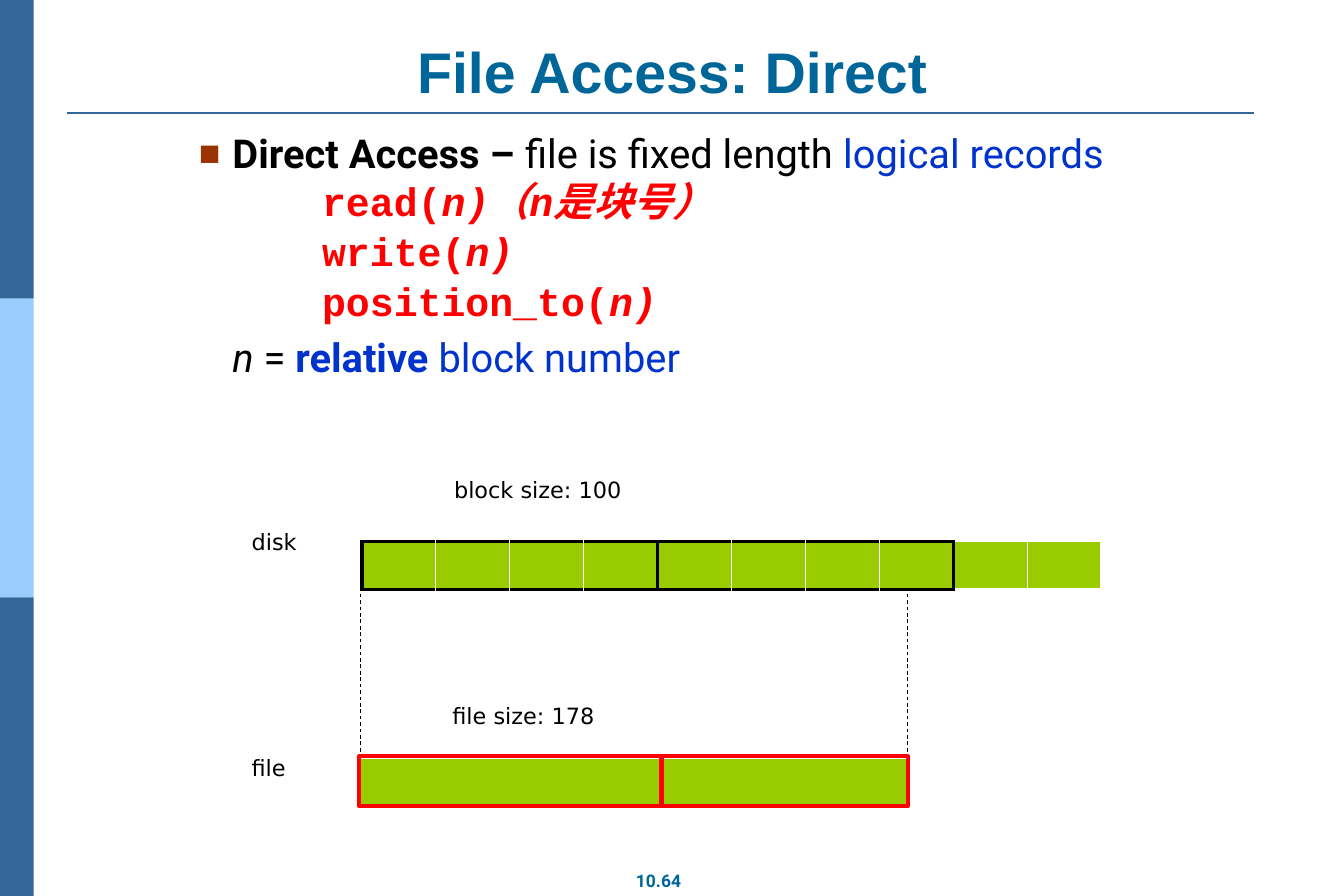
from dataclasses import dataclass

import pptx
import pptx.dml.color
import pptx.enum.dml
import pptx.enum.shapes
import pptx.enum.text
import pptx.oxml
import pptx.oxml.ns
import pptx.util
from pptx.util import Pt

TITLE_BLUE, BAR_BLUE, LIGHT_BLUE, LINK_BLUE = "006699", "336699", "99CCFF", "0033CC"
BLACK, WHITE, RED, BROWN, GREEN = "000000", "FFFFFF", "FF0000", "993300", "99CC00"
BODY_SIZE, HANG = 32, 27
TABLE_ROW = 38.88


@dataclass
class Span:
    text: str
    color: str = BLACK
    font: str = "Roboto"
    bold: bool = False
    italic: bool = False


@dataclass
class Line:
    spans: list[Span]
    margin: float
    before: float
    bullet: bool = False


@dataclass
class Label:
    text: str
    left: float
    top: float
    width: float


@dataclass
class Edge:
    color: str = WHITE
    width: float = 1


@dataclass
class Borders:
    left: Edge
    right: Edge
    top: Edge
    bottom: Edge


def rgb(color: str) -> pptx.dml.color.RGBColor:
    return pptx.dml.color.RGBColor.from_string(color)


def style_font(font, name: str, size: float, color: str, bold=False, italic=False) -> None:
    font.name, font.size, font.bold, font.italic = name, Pt(size), bold, italic
    font.color.rgb = rgb(color)


def xml(tag: str, body: str = "", attributes: str = ""):
    return pptx.oxml.parse_xml(
        f'<a:{tag} {pptx.oxml.ns.nsdecls("a")} {attributes}>{body}</a:{tag}>')


def set_insets(frame, side: float, end: float) -> None:
    frame.margin_left = frame.margin_right = Pt(side)
    frame.margin_top = frame.margin_bottom = Pt(end)


def place(shape, left: float, top: float, width: float, height: float) -> None:
    shape.left, shape.top, shape.width, shape.height = map(Pt, (left, top, width, height))


def add_box(slide, left: float, top: float, width: float, height: float,
            fill: str = "", line: str = "") -> None:
    box = slide.shapes.add_shape(pptx.enum.shapes.MSO_SHAPE.RECTANGLE,
                                 Pt(left), Pt(top), Pt(width), Pt(height))
    box.shadow.inherit = False
    if fill:
        box.fill.solid()
        box.fill.fore_color.rgb = rgb(fill)
    else:
        box.fill.background()
    if line:
        box.line.color.rgb = rgb(line)
        box.line.width = Pt(3)
    else:
        box.line.fill.background()


def add_line(slide, x1: float, y1: float, x2: float, y2: float,
             color: str, width: float, dashed: bool = False) -> None:
    rule = slide.shapes.add_connector(pptx.enum.shapes.MSO_CONNECTOR.STRAIGHT,
                                      Pt(x1), Pt(y1), Pt(x2), Pt(y2))
    rule.line.color.rgb = rgb(color)
    rule.line.width = Pt(width)
    if dashed:
        rule.line.dash_style = pptx.enum.dml.MSO_LINE.DASH
    rule._element.spPr.append(xml("effectLst"))


def add_label(slide, label: Label) -> None:
    frame = slide.shapes.add_textbox(Pt(label.left), Pt(label.top),
                                     Pt(label.width), Pt(28.8)).text_frame
    frame.word_wrap = True
    frame.text = label.text
    style_font(frame.paragraphs[0].runs[0].font, "DejaVu Sans", 18, BLACK)


def add_blocks(slide, left: float, top: float, width: float, cells: list[Borders]) -> None:
    table = slide.shapes.add_table(1, len(cells), Pt(left), Pt(top),
                                   Pt(width), Pt(TABLE_ROW)).table
    table.first_row = table.horz_banding = False
    for column, borders in enumerate(cells):
        table.columns[column].width = Pt(width / len(cells))
        cell = table.cell(0, column)
        cell.fill.solid()
        cell.fill.fore_color.rgb = rgb(GREEN)
        edges = {"lnL": borders.left, "lnR": borders.right,
                 "lnT": borders.top, "lnB": borders.bottom}
        for position, (tag, edge) in enumerate(edges.items()):
            border = xml(tag, f'<a:solidFill><a:srgbClr val="{edge.color}"/></a:solidFill>',
                         f'w="{Pt(edge.width)}"')
            cell._tc.get_or_add_tcPr().insert(position, border)


def write_line(paragraph, line: Line) -> None:
    properties = paragraph._p.get_or_add_pPr()
    properties.set("marL", str(Pt(line.margin)))
    properties.set("indent", str(Pt(-HANG if line.bullet else 0)))
    if line.bullet:
        properties.append(xml("buClr", f'<a:srgbClr val="{BROWN}"/>'))
        properties.append(xml("buSzPct", attributes='val="90000"'))
        properties.append(xml("buChar", attributes='char="■"'))
    else:
        properties.append(xml("buNone"))
    paragraph.line_spacing = 0.9
    paragraph.space_before = Pt(line.before)
    for span in line.spans:
        run = paragraph.add_run()
        run.text = span.text
        style_font(run.font, span.font, BODY_SIZE, span.color, span.bold, span.italic)


def call(name: str, argument: str, before: float = 5.6) -> Line:
    return Line([Span(name, RED, "Courier New", True),
                 Span(argument, RED, "Courier New", True, True)], HANG + 72, before)


def disk_cell(index: int) -> Borders:
    thick, thin = Edge(BLACK, 3), Edge()
    framed = index < 8
    return Borders(left=thick if index % 4 == 0 else thin,
                   right=thick if index in (3, 7) else thin,
                   top=thick if framed else thin,
                   bottom=thick if framed else Edge(WHITE, 3))


def main() -> None:
    deck = pptx.Presentation()
    deck.slide_width, deck.slide_height = Pt(1080), Pt(720)
    slide = deck.slides.add_slide(deck.slide_layouts[1])
    center = pptx.enum.text.PP_ALIGN.CENTER

    # Side bars, title rule and page number
    for band, color in enumerate((BAR_BLUE, LIGHT_BLUE, BAR_BLUE)):
        add_box(slide, 0, band * 240, 27, 240, fill=color)
    add_line(slide, 54, 90.5, 1008, 90.5, BAR_BLUE, 1.5)
    page_number = slide.shapes.add_textbox(Pt(500.4), Pt(694), Pt(57.6), Pt(27.4)).text_frame
    set_insets(page_number, 10, 5)
    page_number.word_wrap = False
    page_number.text = "10.64"
    page_number.paragraphs[0].alignment = center
    style_font(page_number.paragraphs[0].runs[0].font, "Roboto", 14, TITLE_BLUE, True)

    # Title
    title = slide.shapes.title
    place(title, 54, 28.8, 972, 60.5)
    heading = title.text_frame
    set_insets(heading, 10, 5)
    heading.auto_size = pptx.enum.text.MSO_AUTO_SIZE.NONE
    heading.vertical_anchor = pptx.enum.text.MSO_ANCHOR.BOTTOM
    heading.text = "File Access: Direct"
    heading.paragraphs[0].alignment = center
    style_font(heading.paragraphs[0].runs[0].font, "Arial", 46, TITLE_BLUE, True)

    # Direct access operations
    operations = slide.placeholders[1]
    place(operations, 152.6, 104.4, 774, 582.5)
    body = operations.text_frame
    body.auto_size = pptx.enum.text.MSO_AUTO_SIZE.NONE
    lines = [
        Line([Span("Direct Access – ", bold=True), Span("file is fixed length "),
              Span("logical records", LINK_BLUE)], HANG, 0, bullet=True),
        call("read(", "n)（n是块号）", 4),
        call("write(", "n)"),
        call("position_to(", "n)"),
        Line([Span("n", italic=True), Span(" = "), Span("relative", LINK_BLUE, bold=True),
              Span(" block number", LINK_BLUE)], HANG, 10),
    ]
    for index, line in enumerate(lines):
        write_line(body.add_paragraph() if index else body.paragraphs[0], line)

    # Disk blocks and the file mapped onto them
    add_blocks(slide, 290.9, 434.9, 594, [disk_cell(index) for index in range(10)])
    add_blocks(slide, 289.4, 609.1, 439.2, [Borders(Edge(), Edge(), Edge(), Edge(WHITE, 3))])
    for x in (289.4, 729.4):
        add_line(slide, x, 609.1, x, 473.8, BLACK, 0.75, dashed=True)
    for left, width in ((288.7, 243.3), (531.4, 198)):
        add_box(slide, left, 607.7, width, 40.3, line=RED)

    # Labels
    for label in (Label("disk", 195.1, 420.5, 108.7), Label("file", 195.1, 602.6, 108.7),
                  Label("block size: 100", 357.8, 378.7, 224.6),
                  Label("file size: 178", 356.4, 560.9, 224.6)):
        add_label(slide, label)

    deck.save("out.pptx")


if __name__ == "__main__":
    main()
